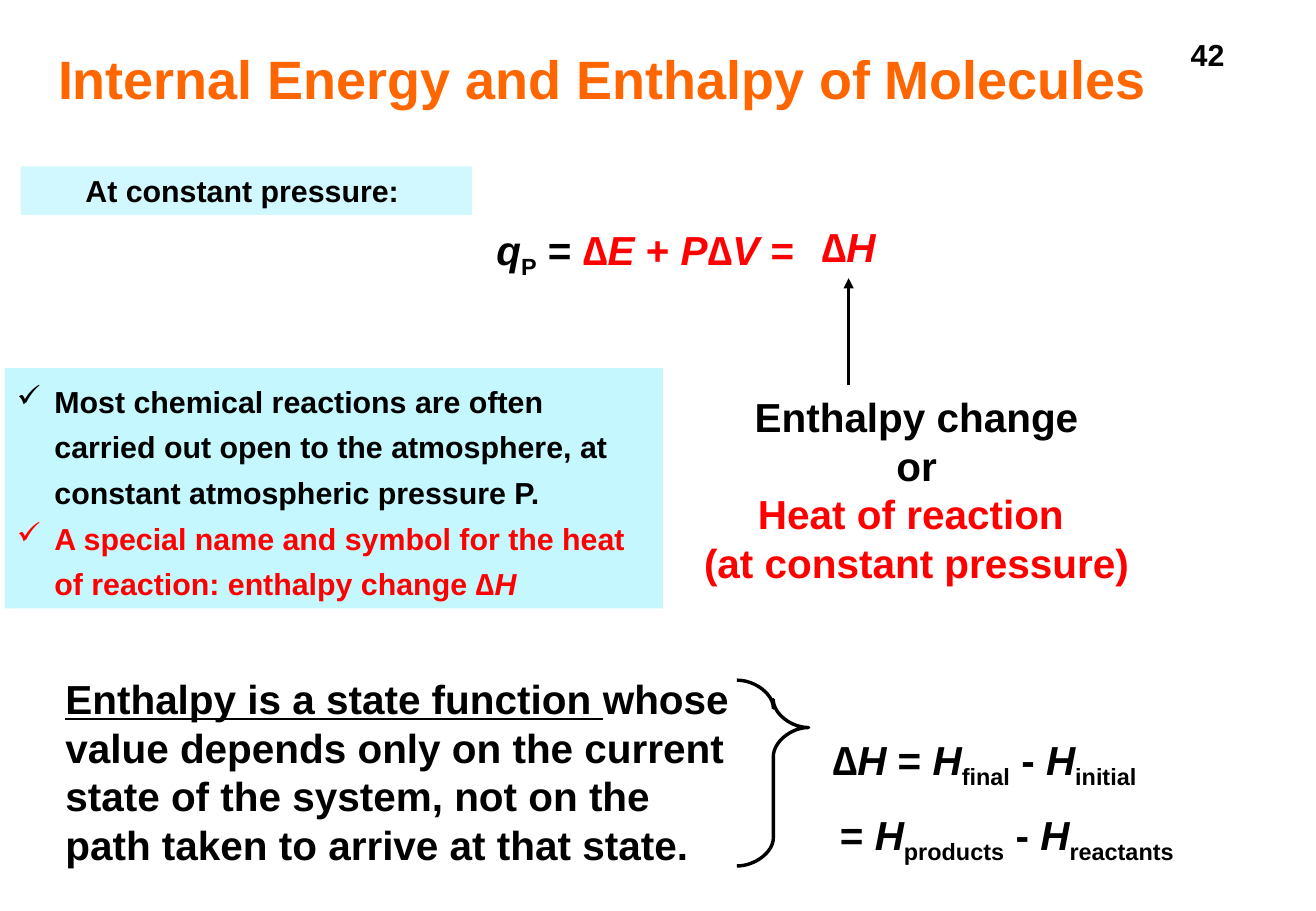
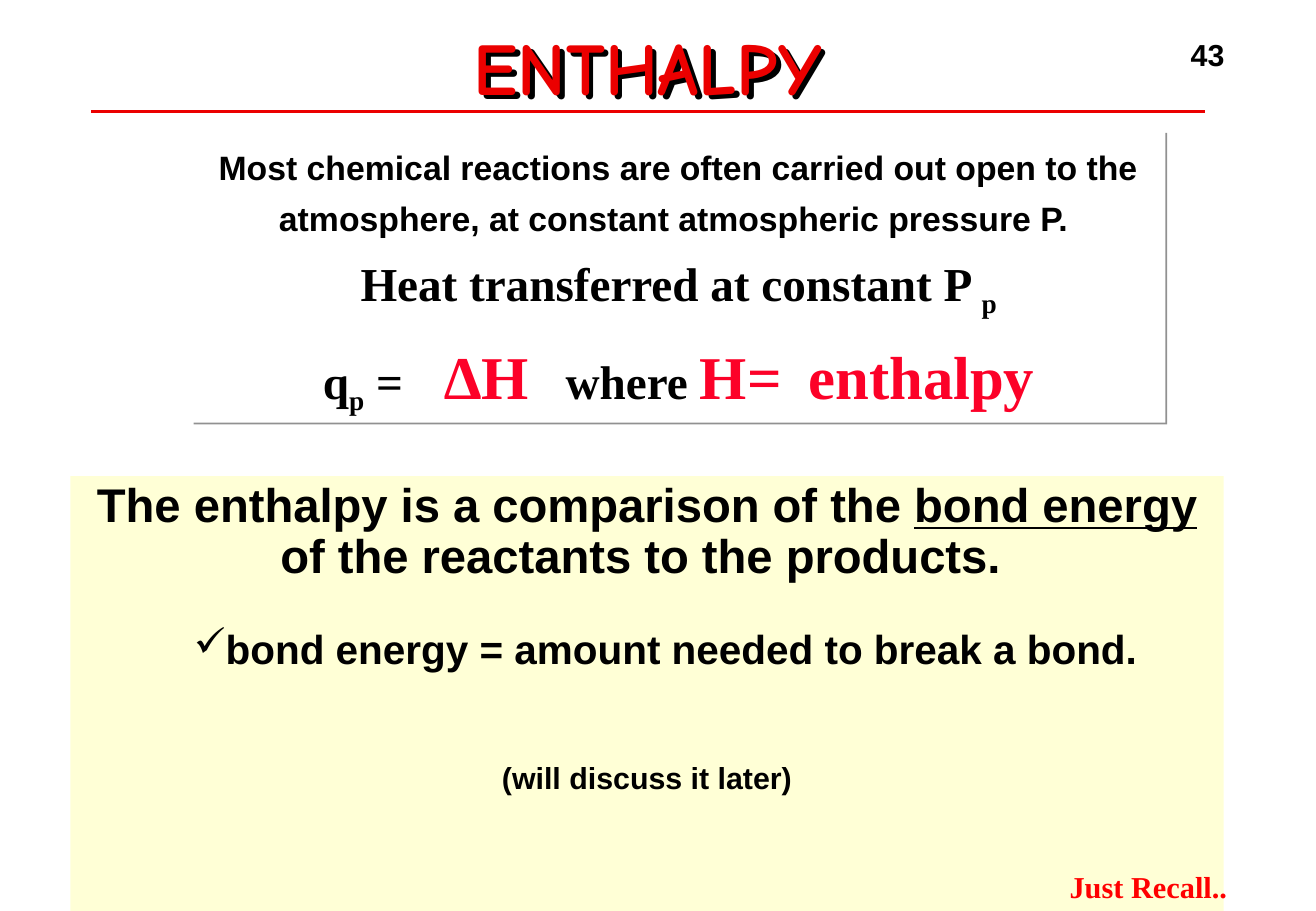
import dataclasses
import typing

import lxml.etree
import pptx
import pptx.dml.color
import pptx.enum.shapes
import pptx.enum.text
import pptx.oxml.ns
import pptx.util

PX = 9144
BLACK, RED, SCARLET, CRIMSON = "000000", "FF0000", "EB0000", "FC0128"
ORANGE, CYAN, YELLOW, WHITE, GREY = "FF6600", "61EAFD", "FFFF00", "FFFFFF", "919191"
SERIF = "Times New Roman"
ALIGN = pptx.enum.text.PP_ALIGN
ANCHOR = pptx.enum.text.MSO_ANCHOR


@dataclasses.dataclass(frozen=True)
class Run:
    text: str
    italic: bool = False
    sub: bool = False
    underline: bool = False
    color: str = ""
    size: int = 0


@dataclasses.dataclass(frozen=True)
class Line:
    runs: tuple[Run, ...]
    size: int = 24
    color: str = BLACK
    font: str = "Arial"
    align: typing.Any = ALIGN.LEFT
    spacing: float = 1.0
    before: int = 0
    bullet: str = ""
    left: int = 0
    hanging: int = 0
    tabs: tuple[int, ...] = ()


@dataclasses.dataclass(frozen=True)
class Box:
    left: int
    top: int
    width: int
    height: int
    lines: tuple[Line, ...]
    fill: str = ""
    opacity: int = 100
    shadow: str = ""
    shadow_px: int = 0
    anchor: typing.Any = ANCHOR.TOP


def px(length: float) -> int:
    return round(length * PX)


def rgb(color: str) -> pptx.dml.color.RGBColor:
    return pptx.dml.color.RGBColor.from_string(color)


def child(parent: typing.Any, tag: str, **attributes: typing.Any) -> typing.Any:
    values = {name: str(value) for name, value in attributes.items()}
    return lxml.etree.SubElement(parent, pptx.oxml.ns.qn(tag), values)


def plain(text: str) -> tuple[Run, ...]:
    return (Run(text),)


def write_line(paragraph: typing.Any, line: Line) -> None:
    paragraph.alignment = line.align
    paragraph.line_spacing = line.spacing
    if line.before:
        paragraph.space_before = pptx.util.Pt(line.before)
    properties = paragraph._p.get_or_add_pPr()
    properties.set("marL", str(px(line.left)))
    properties.set("indent", str(px(-line.hanging)))
    if line.bullet:
        child(child(properties, "a:buClr"), "a:srgbClr", val=line.color)
        child(properties, "a:buChar", char=line.bullet)
    if line.tabs:
        stops = child(properties, "a:tabLst")
        for stop in line.tabs:
            child(stops, "a:tab", pos=px(stop), algn="l")
    paragraph.font.size = pptx.util.Pt(line.size)
    paragraph.font.name = line.font
    paragraph.font.bold = True
    paragraph.font.color.rgb = rgb(line.color)
    for part in line.runs:
        run = paragraph.add_run()
        run.text = part.text
        if part.italic:
            run.font.italic = True
        if part.underline:
            run.font.underline = True
        if part.size:
            run.font.size = pptx.util.Pt(part.size)
        if part.color:
            run.font.color.rgb = rgb(part.color)
        if part.sub:
            run._r.get_or_add_rPr().set("baseline", "-25000")


def draw_box(slide: typing.Any, box: Box) -> None:
    place = [px(side) for side in (box.left, box.top, box.width, box.height)]
    if box.fill:
        shape = slide.shapes.add_shape(pptx.enum.shapes.MSO_SHAPE.RECTANGLE, *place)
        shape.fill.solid()
        shape.fill.fore_color.rgb = rgb(box.fill)
        if box.opacity < 100:
            color = shape.element.spPr.find(".//" + pptx.oxml.ns.qn("a:srgbClr"))
            child(color, "a:alpha", val=box.opacity * 1000)
        shape.line.fill.background()
    else:
        shape = slide.shapes.add_textbox(*place)
    shape.shadow.inherit = False
    if box.shadow:
        effects = shape.element.spPr.find(pptx.oxml.ns.qn("a:effectLst"))
        shadow = child(effects, "a:outerShdw", dist=px(box.shadow_px), dir=2700000,
                       algn="ctr", rotWithShape=0)
        child(shadow, "a:srgbClr", val=box.shadow)
    frame = shape.text_frame
    frame.word_wrap = True
    frame.vertical_anchor = box.anchor
    for index, line in enumerate(box.lines):
        write_line(frame.add_paragraph() if index else frame.paragraphs[0], line)


def draw_connector(slide: typing.Any, start: tuple[int, int], end: tuple[int, int],
                   color: str, arrow: bool = False) -> None:
    connector = slide.shapes.add_connector(
        pptx.enum.shapes.MSO_CONNECTOR.STRAIGHT, *(px(value) for value in start + end))
    connector.line.color.rgb = rgb(color)
    connector.line.width = pptx.util.Pt(2)
    properties = connector.element.spPr
    if arrow:
        child(properties.find(pptx.oxml.ns.qn("a:ln")), "a:tailEnd", type="triangle")
    child(properties, "a:effectLst")


def quarter(start: tuple[int, int], corner: tuple[int, int], end: tuple[int, int],
            steps: int = 16) -> list[tuple[float, float]]:
    points = []
    for step in range(steps + 1):
        t = step / steps
        u = 1 - t
        weights = (u**3 + 1.5 * u * u * t, 1.5 * u * t, t**3 + 1.5 * u * t * t)
        points.append(tuple(sum(weight * point[axis] for weight, point
                                in zip(weights, (start, corner, end))) for axis in (0, 1)))
    return points


def draw_brace(slide: typing.Any) -> None:
    left, spine, tip = 607, 637, 666
    top, middle, bottom = 560, 599, 713
    outline = (quarter((left, top), (spine, top), (spine, 583))
               + quarter((spine, 576), (spine, middle), (tip, middle))
               + quarter((tip, middle), (spine, middle), (spine, 623))
               + quarter((spine, 690), (spine, bottom), (left, bottom)))
    builder = slide.shapes.build_freeform(px(left), px(top), scale=1.0)
    builder.add_line_segments([(px(x), px(y)) for x, y in outline[1:]], close=False)
    brace = builder.convert_to_shape()
    brace.fill.background()
    brace.line.color.rgb = rgb(BLACK)
    brace.line.width = pptx.util.Pt(2)
    brace.shadow.inherit = False


def start_slide(deck: typing.Any, number: int) -> typing.Any:
    slide = deck.slides.add_slide(deck.slide_layouts[6])
    draw_box(slide, Box(971, 25, 100, 40, (Line(plain(str(number)), 18),)))
    return slide


def draw_internal_energy(deck: typing.Any) -> None:
    slide = start_slide(deck, 42)
    enthalpy = Run("H", italic=True)
    products = Line((Run("= "), enthalpy, Run("products", sub=True), Run(" - "), enthalpy,
                     Run("reactants", sub=True)))
    change = Line((Run("∆"), enthalpy), color=RED, align=ALIGN.RIGHT)
    meaning = tuple(Line(plain(text), color=color, align=ALIGN.CENTER) for text, color in (
        ("Enthalpy change", BLACK), ("or", BLACK),
        ("Heat of reaction ", RED), ("(at constant pressure)", RED)))
    heat = Line((Run("q", italic=True, color=BLACK), Run("P", sub=True, color=BLACK),
                 Run(" = ", color=BLACK), Run("∆"), Run("E", italic=True), Run(" + "),
                 Run("P", italic=True), Run("∆"), Run("V", italic=True), Run(" =")), color=RED)
    difference = Line((Run("∆"), enthalpy, Run(" = "), enthalpy, Run("final", sub=True),
                       Run(" - "), enthalpy, Run("initial", sub=True)), align=ALIGN.RIGHT)
    state = Line((Run("Enthalpy is a state function ", underline=True),
                  Run("whose value depends only on the current state of the system, "
                      "not on the path taken to arrive at that state.")))
    condition = Line(plain("At constant pressure: "), 18, align=ALIGN.CENTER)
    check = Line(plain("Most chemical reactions are often carried out open to the "
                       "atmosphere, at constant atmospheric pressure P."),
                 18, spacing=1.25, bullet="✓", left=31, hanging=31)
    name = dataclasses.replace(check, color=RED, runs=(
        Run("A special name and symbol for the heat of reaction: enthalpy change ∆"), enthalpy))
    title = Line(plain("Internal Energy and Enthalpy of Molecules"), 32, ORANGE)
    for box in (
        Box(682, 662, 330, 56, (products,)),
        Box(651, 178, 80, 50, (change,)),
        Box(570, 318, 370, 170, meaning, anchor=ANCHOR.MIDDLE),
        Box(399, 180, 290, 56, (heat,)),
        Box(656, 600, 290, 56, (difference,)),
        Box(44, 550, 569, 170, (state,)),
        Box(38, 33, 1047, 83, (title,)),
        Box(17, 137, 372, 40, (condition,), CYAN, 29, anchor=ANCHOR.MIDDLE),
        Box(4, 303, 542, 198, (check, name), CYAN, 36),
    ):
        draw_box(slide, box)
    draw_connector(slide, (699, 317), (699, 229), BLACK, arrow=True)
    draw_brace(slide)


def draw_enthalpy(deck: typing.Any) -> None:
    slide = start_slide(deck, 43)
    title = Line(plain("ENTHALPY"), 44, SCARLET, "Comic Neue", ALIGN.CENTER, 0.9)
    draw_box(slide, Box(146, 25, 775, 67, (title,), shadow=BLACK, shadow_px=5,
                        anchor=ANCHOR.MIDDLE))
    draw_connector(slide, (75, 92), (993, 92), SCARLET)
    reactions = Line(plain("Most chemical reactions are often carried out open to the "
                           "atmosphere, at constant atmospheric pressure P. "),
                     20, align=ALIGN.CENTER, spacing=1.25)
    transfer = dataclasses.replace(reactions, size=28, font=SERIF, runs=(
        Run("Heat transferred at constant P "), Run("p", sub=True)))
    relation = dataclasses.replace(transfer, tabs=(94, 200, 374, 427), runs=(
        Run("q"), Run("p", sub=True), Run(" =\t"), Run("∆H\t", color=CRIMSON, size=36),
        Run("where "), Run("H\t=\tenthalpy", color=CRIMSON, size=36)))
    comparison = Line((Run("The enthalpy is a comparison of the "),
                       Run("bond energy ", underline=True),
                       Run("of the reactants to the products. ")),
                      28, align=ALIGN.CENTER, spacing=0.9)
    bond = Line(plain("bond energy = amount needed to break a bond. "),
                align=ALIGN.CENTER, spacing=0.9, before=27, bullet="✓", left=40)
    later = Line(plain("(will discuss it later)"), 18, align=ALIGN.CENTER, before=51)
    recall = Line(plain("Just Recall.."), 18, RED, SERIF, ALIGN.CENTER, 0.8)
    for box in (
        Box(158, 108, 802, 240, (reactions, transfer, relation), WHITE,
            shadow=GREY, shadow_px=2),
        Box(58, 392, 950, 360, (comparison, bond, later), YELLOW, 16),
        Box(861, 716, 170, 34, (recall,)),
    ):
        draw_box(slide, box)


def main() -> None:
    deck = pptx.Presentation()
    deck.slide_width, deck.slide_height = px(1084), px(750)
    draw_internal_energy(deck)
    draw_enthalpy(deck)
    deck.save("out.pptx")


if __name__ == "__main__":
    main()
